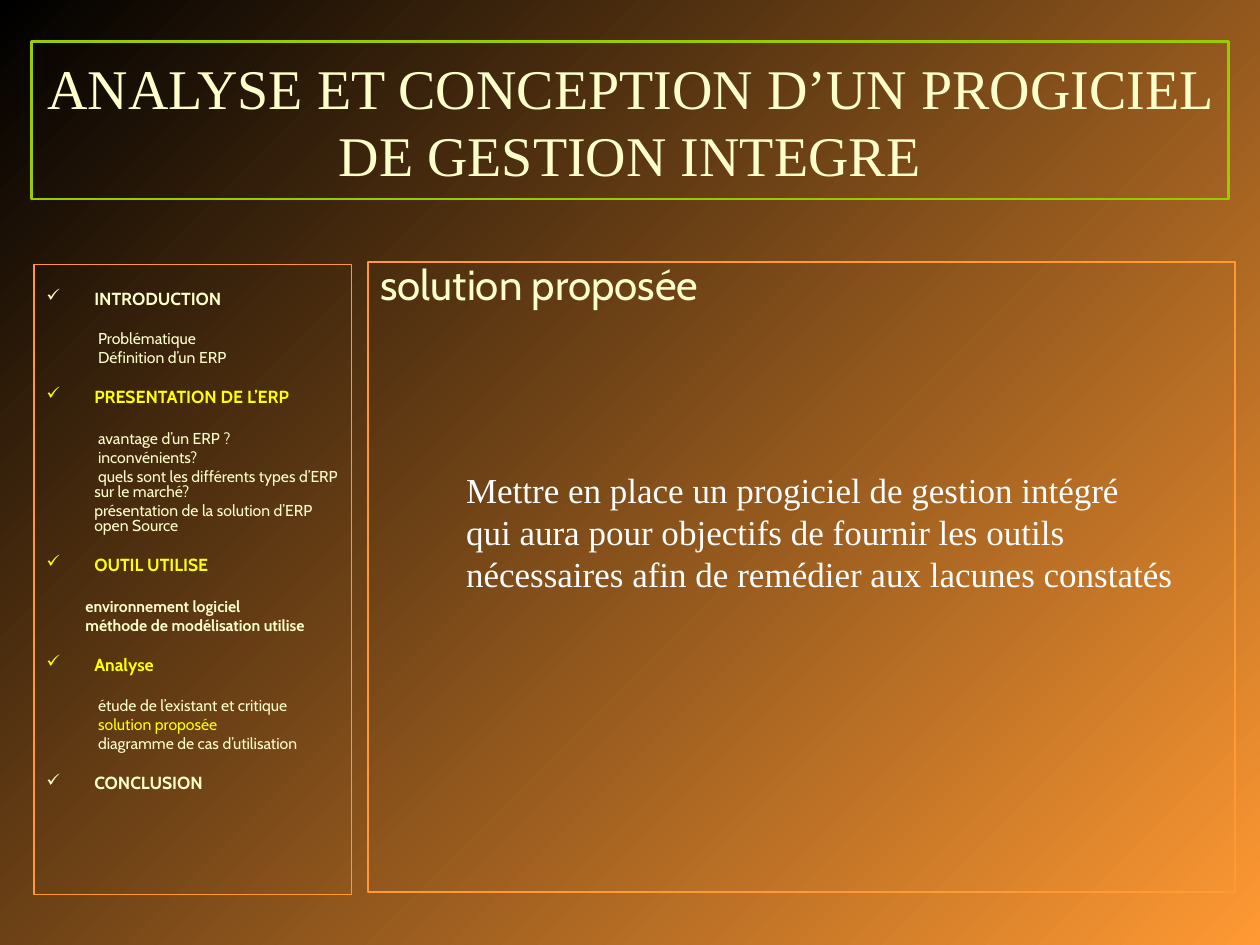
from lxml import etree
from pptx import Presentation
from pptx.dml.color import RGBColor
from pptx.enum.shapes import MSO_SHAPE
from pptx.enum.text import MSO_ANCHOR, MSO_AUTO_SIZE, PP_ALIGN
from pptx.oxml.ns import qn
from pptx.util import Inches, Pt

RECT = MSO_SHAPE.RECTANGLE
TOP, MIDDLE = MSO_ANCHOR.TOP, MSO_ANCHOR.MIDDLE
NO_FIT = MSO_AUTO_SIZE.NONE
LEFT, CENTER = PP_ALIGN.LEFT, PP_ALIGN.CENTER
SANS, SERIF = "Cabin", "Times New Roman"
CREAM, YELLOW, ORANGE, GREEN, WHITE = "FFFFCC", "FFFF00", "FF9933", "99CC00", "FFFFFF"

PLAIN, FLUSH, STRONG = (0.38, 0.03), (0.38, 0), (0.31, 0)
SECTIONS = [
    ("INTRODUCTION", CREAM, 13.2, [
        ("Problématique", CREAM, PLAIN),
        ("Définition d’un ERP", CREAM, PLAIN)]),
    ("PRESENTATION DE L’ERP", YELLOW, 14.4, [
        ("avantage d’un ERP ?", CREAM, PLAIN),
        ("inconvénients?", CREAM, PLAIN),
        ("quels sont les différents types d’ERP sur le marché?", CREAM, PLAIN),
        ("présentation de la solution d’ERP open Source", CREAM, FLUSH)]),
    ("OUTIL UTILISE", YELLOW, 14.4, [
        ("environnement logiciel", CREAM, STRONG),
        ("méthode de modélisation utilise", CREAM, STRONG)]),
    ("Analyse", YELLOW, 14.4, [
        ("étude de l’existant et critique", CREAM, PLAIN),
        ("solution proposée", YELLOW, PLAIN),
        ("diagramme de cas d’utilisation", CREAM, PLAIN)]),
    ("CONCLUSION", CREAM, 0, []),
]
OBJECTIVE = [
    "Mettre en place un progiciel de gestion intégré",
    "qui aura pour objectifs de fournir les outils",
    "nécessaires afin de remédier aux lacunes constatés",
]


def rgb(value):
    return RGBColor.from_string(value)


def place(sp, box):
    sp.left, sp.top, sp.width, sp.height = [Inches(v) for v in box]


def outline(sp, color, width):
    sp.fill.background()
    sp.line.color.rgb = rgb(color)
    sp.line.width = Pt(width)


def write(p, text, font, size, color, bold=False):
    p.text = text
    for r in p.runs:
        r.font.name = font
        r.font.size = Pt(size)
        r.font.bold = bold
        r.font.color.rgb = rgb(color)


def layout_paragraph(p, left, first, before, bullet=None):
    p.alignment = LEFT
    p.line_spacing = 0.8
    p.space_before = Pt(before)
    pPr = p._p.get_or_add_pPr()
    pPr.set("marL", str(Inches(left)))
    pPr.set("indent", str(Inches(first)))
    if bullet:
        buClr = etree.SubElement(pPr, qn("a:buClr"))
        etree.SubElement(buClr, qn("a:srgbClr")).set("val", bullet)
        etree.SubElement(pPr, qn("a:buChar")).set("char", "✓")
    else:
        etree.SubElement(pPr, qn("a:buNone"))


def add_title(s, box):
    sp = s.shapes.title
    place(sp, box)
    outline(sp, GREEN, 1.5)
    tf = sp.text_frame
    tf.auto_size = NO_FIT
    tf.vertical_anchor = MIDDLE
    p = tf.paragraphs[0]
    write(p, "ANALYSE ET CONCEPTION D’UN PROGICIEL DE GESTION INTEGRE", SERIF, 32, CREAM)
    p.alignment = CENTER


def add_outline_panel(s, box):
    sp = s.shapes.add_shape(RECT, *[Inches(v) for v in box])
    sp.shadow.inherit = False
    outline(sp, ORANGE, 1)
    tf = sp.text_frame
    tf.word_wrap = True
    tf.vertical_anchor = TOP
    tf.margin_top = Inches(0.22)
    for i, (heading, color, gap, items) in enumerate(SECTIONS):
        p = tf.add_paragraph() if i else tf.paragraphs[0]
        write(p, heading, SANS, 10, color, True)
        layout_paragraph(p, 0.38, -0.38, 13.4 if i else 0, color)
        for j, (text, item_color, indents) in enumerate(items):
            p = tf.add_paragraph()
            write(p, text, SANS, 9, item_color, indents == STRONG)
            layout_paragraph(p, *indents, 2.2 if j else gap)


def add_content(s, box):
    left, top, width, height = box
    sp = s.placeholders[1]
    place(sp, box)
    outline(sp, ORANGE, 1)
    tf = sp.text_frame
    tf.auto_size = NO_FIT
    tf.vertical_anchor = TOP
    p = tf.paragraphs[0]
    write(p, "solution proposée", SANS, 24, CREAM)
    layout_paragraph(p, 0.38, -0.38, 6)

    objective = s.shapes.add_textbox(
        Inches(left + 0.68), Inches(top + 1.59), Inches(5.81), Inches(1.1))
    tf = objective.text_frame
    tf.word_wrap = False
    for i, line in enumerate(OBJECTIVE):
        p = tf.add_paragraph() if i else tf.paragraphs[0]
        write(p, line, SERIF, 20, WHITE)


def main():
    prs = Presentation()
    prs.slide_width, prs.slide_height = Inches(10), Inches(7.5)
    s = prs.slides.add_slide(prs.slide_layouts[1])
    fill = s.background.fill
    fill.gradient()
    fill.gradient_angle = 315
    for stop, color, position in zip(fill.gradient_stops, ("000000", ORANGE), (0, 1)):
        stop.color.rgb = rgb(color)
        stop.position = position
    add_title(s, (0.25, 0.33, 9.5, 1.25))
    add_outline_panel(s, (0.27, 2.1, 2.52, 5))
    add_content(s, (2.92, 2.08, 6.88, 5))
    prs.save("out.pptx")


if __name__ == "__main__":
    main()
